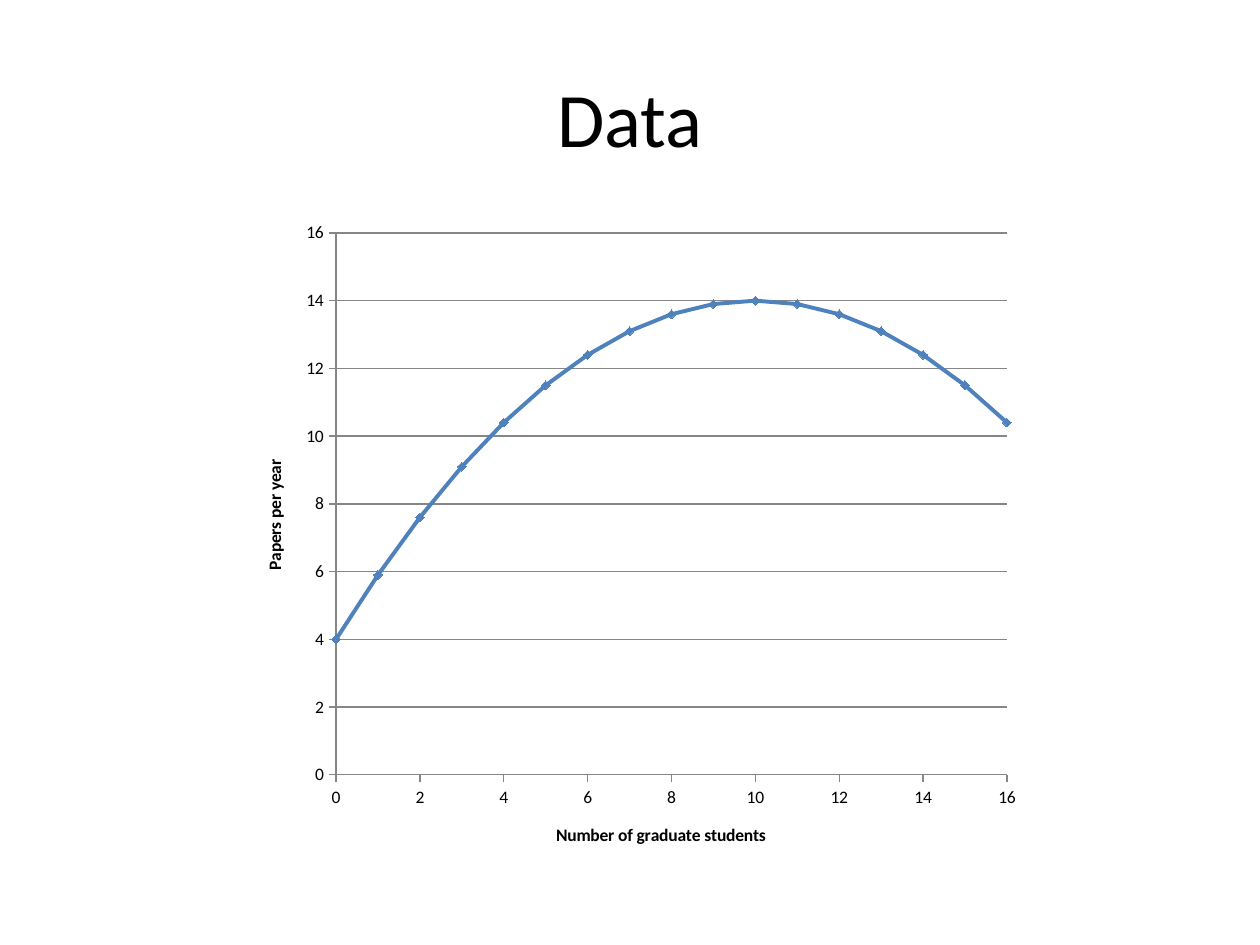
from lxml import etree
from pptx import Presentation
from pptx.chart.data import XyChartData
from pptx.dml.color import RGBColor
from pptx.enum.chart import XL_CHART_TYPE, XL_MARKER_STYLE, XL_TICK_MARK
from pptx.enum.text import MSO_ANCHOR, PP_ALIGN
from pptx.oxml.ns import qn
from pptx.util import Pt

SMOOTH_SCATTER = XL_CHART_TYPE.XY_SCATTER_SMOOTH
DIAMOND = XL_MARKER_STYLE.DIAMOND
TICK_OUTSIDE, TICK_NONE = XL_TICK_MARK.OUTSIDE, XL_TICK_MARK.NONE
MIDDLE = MSO_ANCHOR.MIDDLE
CENTER = PP_ALIGN.CENTER

BLACK = RGBColor(0x00, 0x00, 0x00)
GRAY = RGBColor(0x86, 0x86, 0x86)
BLUE = RGBColor(0x4F, 0x81, 0xBD)
FONT = "Calibri"
PX_PER_INCH = 126

TITLE_BOX = (63, 38, 1134, 158)
CHART_BOX = (237, 210, 795, 662)
PLOT_BOX = (99, 23, 671, 542)


def px(length):
    return round(length * 914400 / PX_PER_INCH)


def style_font(font, size, bold=False):
    font.name = FONT
    font.size = Pt(size)
    font.bold = bold
    font.color.rgb = BLACK


def style_line(line, color, width):
    line.color.rgb = color
    line.width = Pt(width)


def place_title(page, box, text):
    title = page.shapes.title
    title.left, title.top, title.width, title.height = map(px, box)
    frame = title.text_frame
    frame.text = text
    frame.vertical_anchor = MIDDLE
    para = frame.paragraphs[0]
    para.alignment = CENTER
    style_font(para.runs[0].font, 44)


def format_axis(axis, title, gridlines):
    axis.minimum_scale, axis.maximum_scale, axis.major_unit = 0, 16, 2
    axis.major_tick_mark = TICK_OUTSIDE
    axis.minor_tick_mark = TICK_NONE
    axis.has_major_gridlines = gridlines
    if gridlines:
        style_line(axis.major_gridlines.format.line, GRAY, 0.75)
    style_line(axis.format.line, GRAY, 0.75)
    axis.tick_labels.number_format = "General"
    axis.tick_labels.number_format_is_linked = False
    frame = axis.axis_title.text_frame
    frame.text = title
    style_font(frame.paragraphs[0].runs[0].font, 10, bold=True)


def set_plot_area(chart, box, chart_size):
    plot_area = chart.element.find(".//" + qn("c:plotArea"))
    for layout in plot_area.findall(qn("c:layout")):
        plot_area.remove(layout)
    layout = etree.Element(qn("c:layout"))
    plot_area.insert(0, layout)
    manual = etree.SubElement(layout, qn("c:manualLayout"))
    settings = [("layoutTarget", "inner"), ("xMode", "edge"), ("yMode", "edge")]
    for name, length, whole in zip("xywh", box, chart_size * 2):
        settings.append((name, str(length / whole)))
    for name, value in settings:
        etree.SubElement(manual, qn("c:" + name)).set("val", value)


def place_chart(page, box):
    data = XyChartData()
    points = data.add_series("Series 1")
    for students in range(17):
        points.add_data_point(students, round(14 - 0.1 * (students - 10) ** 2, 1))
    chart = page.shapes.add_chart(SMOOTH_SCATTER, *map(px, box), data).chart
    chart.has_legend = False
    chart.has_title = False
    style_font(chart.font, 10)
    format_axis(chart.category_axis, "Number of graduate students", False)
    format_axis(chart.value_axis, "Papers per year", True)
    set_plot_area(chart, PLOT_BOX, box[2:])

    plot = chart.plots[0]
    plot.vary_by_categories = False
    curve = plot.series[0]
    style_line(curve.format.line, BLUE, 2.25)
    curve.marker.style = DIAMOND
    curve.marker.size = 5
    curve.marker.format.fill.solid()
    curve.marker.format.fill.fore_color.rgb = BLUE
    style_line(curve.marker.format.line, BLUE, 0.75)


def main():
    deck = Presentation()
    deck.slide_width, deck.slide_height = px(1260), px(945)
    page = deck.slides.add_slide(deck.slide_layouts[5])
    place_title(page, TITLE_BOX, "Data")
    place_chart(page, CHART_BOX)
    deck.save("out.pptx")


if __name__ == "__main__":
    main()
